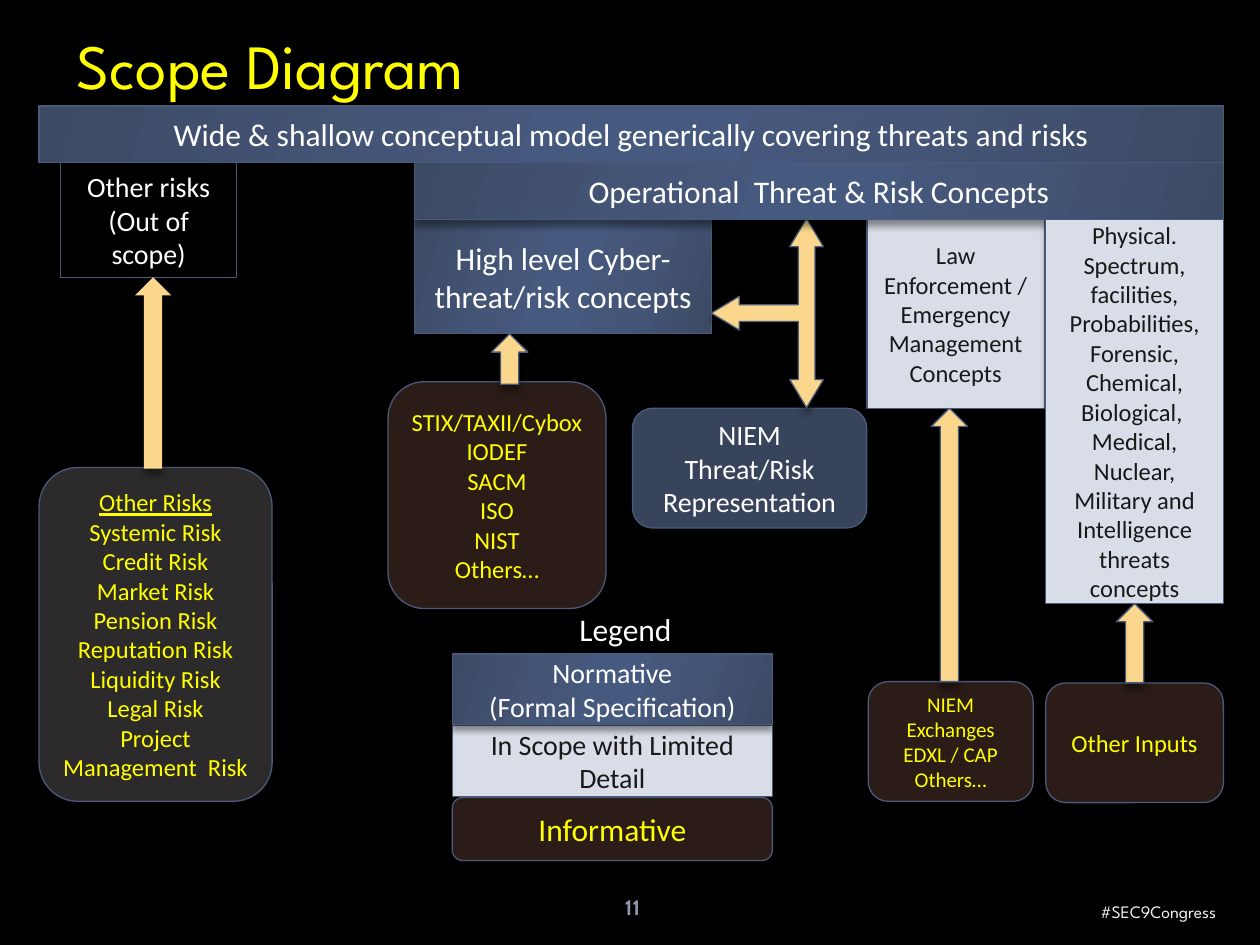
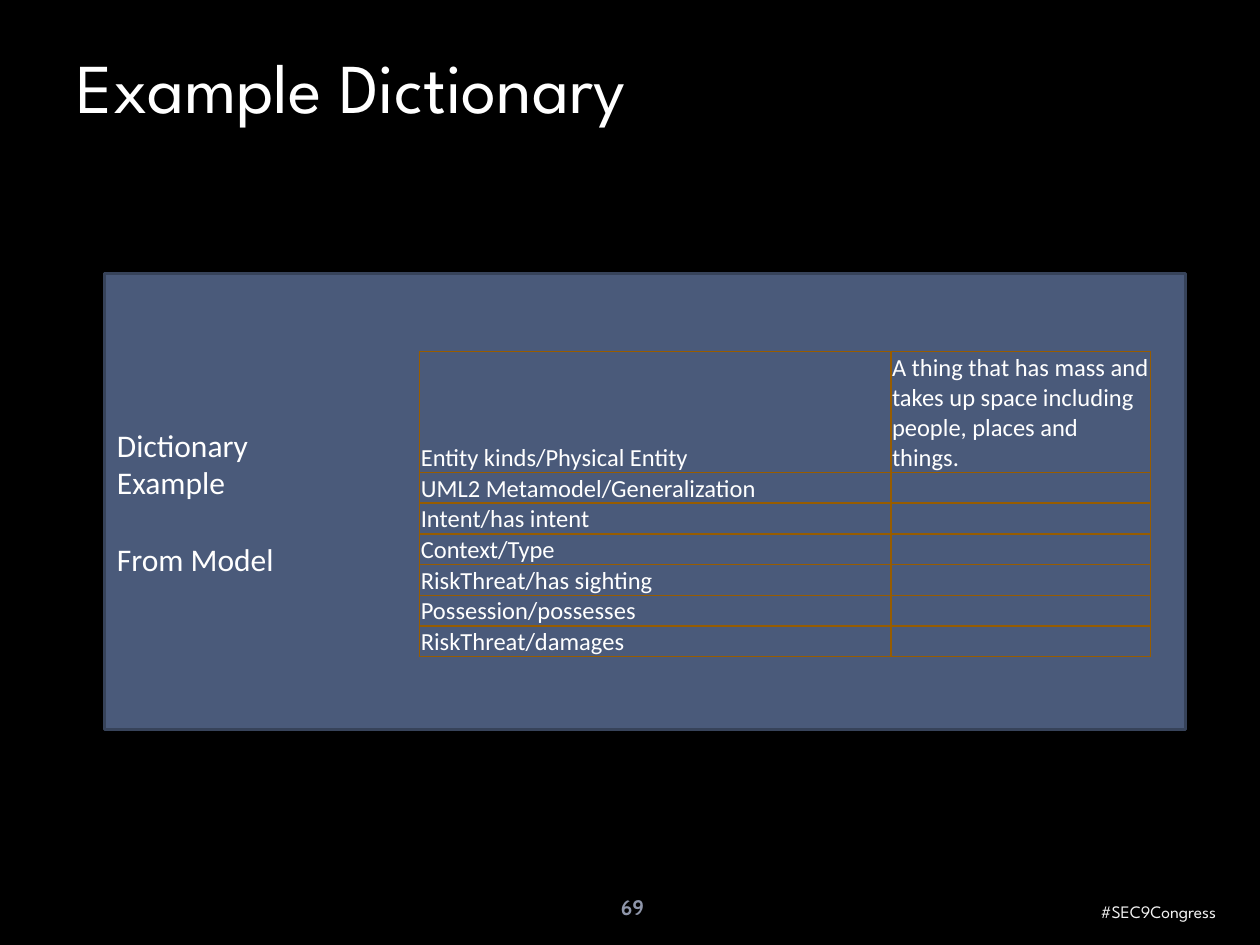
from lxml import etree
from pptx import Presentation
from pptx.dml.color import RGBColor
from pptx.enum.shapes import MSO_SHAPE
from pptx.enum.text import MSO_ANCHOR, PP_ALIGN
from pptx.oxml.ns import qn
from pptx.util import Pt

PX = 9144  # EMU per px, 100 px to the inch
RECT, ROUND = MSO_SHAPE.RECTANGLE, MSO_SHAPE.ROUNDED_RECTANGLE
RISE, FORK = MSO_SHAPE.UP_ARROW, MSO_SHAPE.LEFT_RIGHT_UP_ARROW
LEFT, MID, RIGHT = PP_ALIGN.LEFT, PP_ALIGN.CENTER, PP_ALIGN.RIGHT
TOP, CORE, BASE = MSO_ANCHOR.TOP, MSO_ANCHOR.MIDDLE, MSO_ANCHOR.BOTTOM

COLOR = {
    "black": "000000", "white": "FFFFFF", "yellow": "FFFF00",
    "ink": "191818", "pale": "D8DDE7", "navy": "38435C",
    "steel": "4A5A7A", "edge": "37435A", "brown": "583A31",
    "gray": "5B5758", "gold": "FAD78C", "rule": "975C00",
    "page": "8F96AA", "foot": "F2F2F2",
}
SHEEN = [(0, "3D4A64"), (30, "445577"), (45, "46597E"),
         (55, "46597E"), (73, "445577"), (100, "3D4A64")]

# look: preset shape, fill (None for the sheen), opacity, text colour
LOOK = {
    "formal": (RECT, None, 100, "white"),
    "limited": (RECT, "pale", 100, "ink"),
    "outside": (RECT, "black", 100, "white"),
    "niem": (ROUND, "navy", 100, "white"),
    "inform": (ROUND, "brown", 49, "yellow"),
    "risks": (ROUND, "gray", 49, "yellow"),
    "arrow": (RISE, "gold", 100, "ink"),
    "fork": (FORK, "gold", 100, "ink"),
}


def rgb(name):
    return RGBColor.from_string(COLOR[name])


def px(*sizes):
    return [n * PX for n in sizes]


def add(node, tag, **attrs):
    return etree.SubElement(node, qn(tag), {k: str(v) for k, v in attrs.items()})


def write(frame, lines, size, color, align=MID, anchor=CORE, font="Calibri"):
    frame.word_wrap = True
    frame.vertical_anchor = anchor
    for i, line in enumerate(lines):
        para = frame.paragraphs[0] if i == 0 else frame.add_paragraph()
        para.text = line
        para.alignment = align
        para.font.size = Pt(size)
        para.font.name = font
        para.font.color.rgb = rgb(color)
    return frame.paragraphs


def label(slide, box, line, size, color, **style):
    frame = slide.shapes.add_textbox(*px(*box)).text_frame
    return write(frame, [line], size, color, **style)[0]


def shade(shape):
    """Fill with the dark-light-dark sheen."""
    shape.fill.gradient()
    shape.fill.gradient_angle = 344
    stops = shape._element.spPr.find(".//" + qn("a:gsLst"))
    for stop in list(stops):
        stops.remove(stop)
    for place, tint in SHEEN:
        add(add(stops, "a:gs", pos=place * 1000), "a:srgbClr", val=tint)


def cast(shape):
    """Add the soft shadow below a shape."""
    shape.shadow.inherit = False
    effects = shape._element.spPr.find(qn("a:effectLst"))
    drop = add(effects, "a:outerShdw", blurRad=Pt(4), dist=Pt(3.4),
               dir=5400000, rotWithShape=0)
    add(add(drop, "a:srgbClr", val=COLOR["black"]), "a:alpha", val=40000)


def block(slide, look, box, lines=(), size=14):
    kind, fill, alpha, color = LOOK[look]
    shape = slide.shapes.add_shape(kind, *px(*box))
    if fill:
        shape.fill.solid()
        shape.fill.fore_color.rgb = rgb(fill)
        if alpha < 100:
            tint = shape._element.spPr.find(".//" + qn("a:srgbClr"))
            add(tint, "a:alpha", val=alpha * 1000)
    else:
        shade(shape)
    shape.line.color.rgb = rgb("steel")
    shape.line.width = Pt(0.75)
    cast(shape)
    write(shape.text_frame, lines, size, color)
    return shape


def rise(slide, x, top, foot):
    return block(slide, "arrow", (x, top, 29, foot - top))


def page(deck, number):
    """Blank slide with the shared ground and footer."""
    slide = deck.slides.add_slide(deck.slide_layouts[6])
    slide.background.fill.solid()
    slide.background.fill.fore_color.rgb = rgb("black")
    label(slide, (479, 700, 46, 40), number, 12, "page", font="Cabin").font.bold = True
    label(slide, (810, 710, 165, 27), "#SEC9Congress", 10, "foot",
          align=RIGHT, anchor=TOP, font="League Spartan")
    return slide


def title(slide, line, tall, size, color):
    para = label(slide, (51, 16, 877, tall), line, size, color,
                 align=LEFT, font="League Spartan")
    para.space_before = Pt(4)


def threats(slide, x, y):
    """Operational concepts and the inputs that feed them."""
    block(slide, "formal", (x, y + 45, 236, 91),
          ["High level Cyber-threat/risk concepts"], 18)
    block(slide, "limited", (x + 359, y + 45, 141, 150),
          ["Law Enforcement / Emergency Management Concepts"])
    block(slide, "niem", (x + 173, y + 195, 186, 95),
          ["NIEM Threat/Risk Representation"], 16)
    fork = block(slide, "fork", (x + 205, y + 75, 150, 89))
    fork.rotation = 270
    for i, ratio in enumerate((0.15, 0.15, 0.25)):
        fork.adjustments[i] = ratio
    block(slide, "inform", (x + 360, y + 412, 131, 95),
          ["NIEM Exchanges", "EDXL / CAP", "Others…"], 12)
    block(slide, "inform", (x - 21, y + 174, 173, 180),
          ["STIX/TAXII/Cybox", "IODEF", "SACM", "ISO", "NIST", "Others…"])
    rise(slide, x + 410, y + 195, y + 412)
    block(slide, "formal", (x, y, 642, 45), ["Operational  Threat & Risk Concepts"], 18)
    rise(slide, x + 61, y + 136, y + 176)
    block(slide, "limited", (x + 501, y + 45, 141, 305),
          ["Physical. Spectrum, facilities,",
           "Probabilities, Forensic, Chemical, Biological,  Medical, Nuclear, "
           "Military and Intelligence threats concepts"])
    block(slide, "inform", (x + 501, y + 413, 141, 95), ["Other Inputs"])
    rise(slide, x + 557, y + 350, y + 413)


def others(slide, x, y):
    """Risks that stay out of scope."""
    block(slide, "outside", (x + 17, y, 140, 91), ["Other risks (Out of scope)"], 16)
    kinds = ["Systemic", "Credit", "Market", "Pension", "Reputation",
             "Liquidity", "Legal", "Project Management "]
    risks = block(slide, "risks", (x, y + 242, 185, 265),
                  ["Other Risks"] + [f"{kind} Risk" for kind in kinds])
    risks.text_frame.paragraphs[0].font.underline = True
    rise(slide, x + 76, y + 91, y + 243).line.fill.background()


def legend(slide, x, y):
    block(slide, "limited", (x, y + 97, 254, 56), ["In Scope with Limited Detail"], 16)
    block(slide, "formal", (x, y + 40, 254, 56),
          ["Normative", "(Formal Specification)"], 16)
    block(slide, "inform", (x, y + 154, 254, 50), ["Informative"], 18)
    label(slide, (x + 91, y, 94, 40), "Legend", 18, "white", align=LEFT, anchor=TOP)


def scope(deck):
    slide = page(deck, "11")
    block(slide, "formal", (31, 84, 940, 45),
          ["Wide & shallow conceptual model generically covering threats and risks"], 18)
    threats(slide, 329, 129)
    others(slide, 31, 129)
    legend(slide, 359, 479)
    title(slide, "Scope Diagram", 70, 36, "yellow")


def rule(cell):
    """Draw all four borders of a cell."""
    props = cell._tc.get_or_add_tcPr()
    for i, side in enumerate(("a:lnL", "a:lnR", "a:lnT", "a:lnB")):
        line = etree.Element(qn(side), {"w": str(Pt(1))})
        add(add(line, "a:solidFill"), "a:srgbClr", val=COLOR["rule"])
        props.insert(i, line)


def terms(slide, x, y):
    rows = [
        ("Entity kinds/Physical Entity",
         "A thing that has mass and takes up space including people, places and things."),
        ("UML2 Metamodel/Generalization", ""),
        ("Intent/has intent", ""),
        ("Context/Type", ""),
        ("RiskThreat/has sighting", ""),
        ("Possession/possesses", ""),
        ("RiskThreat/damages", ""),
    ]
    table = slide.shapes.add_table(len(rows), 2, *px(x, y, 580, 240)).table
    table.first_row = table.horz_banding = False
    for col, wide in zip(table.columns, px(374, 206)):
        col.width = wide
    for i, row in enumerate(rows):
        table.rows[i].height = (24 if i else 96) * PX
        for cell, text in zip(table.rows[i].cells, row):
            cell.margin_left = cell.margin_right = cell.margin_top = PX
            cell.margin_bottom = 0
            cell.vertical_anchor = BASE
            cell.fill.background()
            rule(cell)
            para = cell.text_frame.paragraphs[0]
            if text:
                para.text = text
                para.font.size = Pt(14)
                para.font.name = "Calibri"
                para.font.color.rgb = rgb("white")
            else:
                add(para._p, "a:endParaRPr", sz=1400)


def words(deck):
    slide = page(deck, "69")
    x, y = 83, 217
    panel = slide.shapes.add_shape(RECT, *px(x, y, 858, 362))
    panel.shadow.inherit = False
    panel.fill.solid()
    panel.fill.fore_color.rgb = rgb("steel")
    panel.line.color.rgb = rgb("edge")
    panel.line.width = Pt(1.5)
    paras = write(panel.text_frame, ["Dictionary", "Example", "From Model"],
                  18, "white", align=LEFT)
    paras[-1].space_before = Pt(22)
    title(slide, "Example Dictionary", 104, 40, "white")
    terms(slide, x + 250, y + 62)


def main():
    deck = Presentation()
    deck.slide_width, deck.slide_height = px(1000, 750)
    scope(deck)
    words(deck)
    deck.save("out.pptx")


if __name__ == "__main__":
    main()
